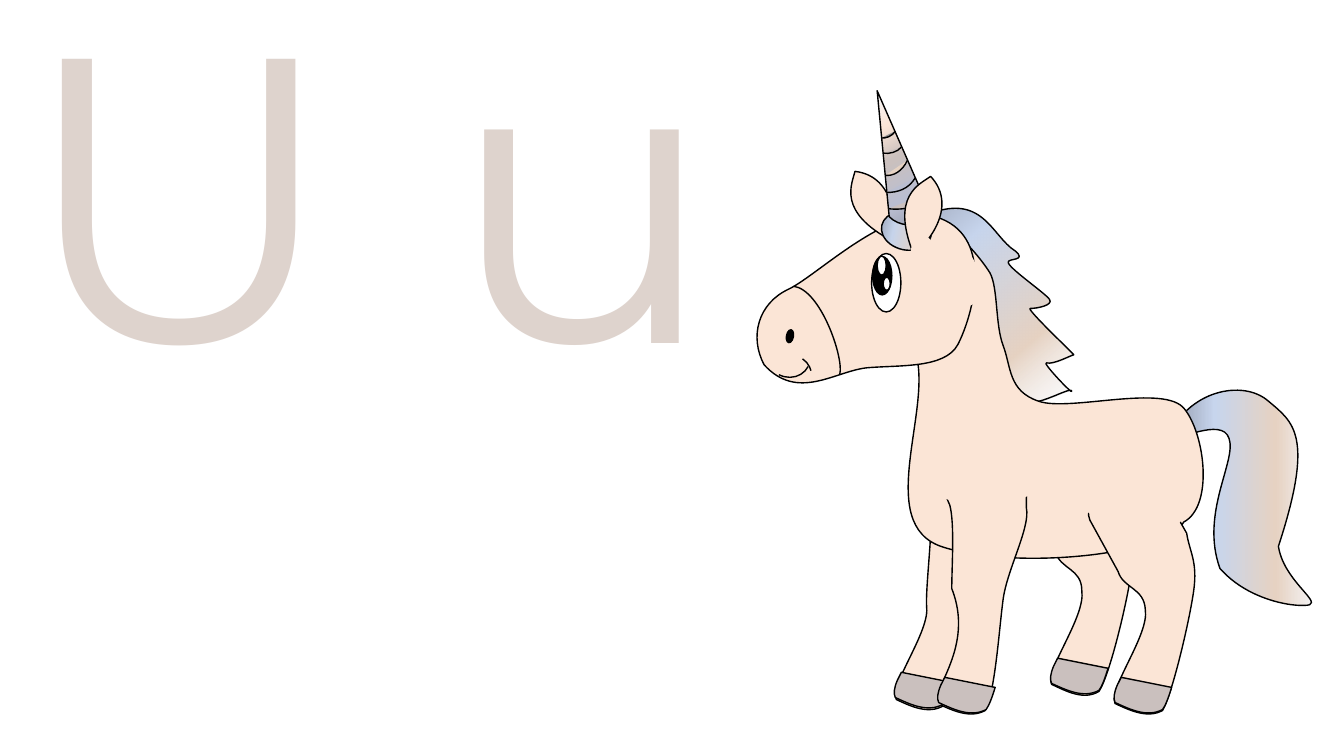
import pptx
import pptx.dml.color
import pptx.enum.shapes
import pptx.enum.text
import pptx.util
from lxml import etree
from pptx.oxml.ns import qn
from pptx.util import Inches

LETTERS = "U u"
SKIN, HOOF, BLACK, WHITE = "FBE5D6", "CAC0BE", "000000", "FFFFFF"

# Gradient stops: position in percent, colour, opacity in percent
HAIR = [(0, "F6F8FC", 100), (29, "E6D2C2", 100), (69, "C7D5ED", 100), (100, "9097A9", 100)]
SHEER_HAIR = [(0, "F6F8FC", 20)] + HAIR[1:]
COAT = [(0, "F6F8FC", 100), (24, SKIN, 100)]
HORN = COAT + [(46, HOOF, 100), (74, "BABED1", 100), (100, "9097A9", 100)]

# Outlines in inches: a pair is a corner, six numbers are a Bezier curve
TAIL = [(12.99, 6), (13.09, 5.96, 12.73, 5.75, 12.68, 5.42), (13.04, 4.32, 12.83, 4.19, 12.58, 3.98),
        (12.33, 3.76, 11.78, 3.87, 11.58, 4.35), (11.66, 4.39, 12.12, 4.13, 12.19, 4.35),
        (12.27, 4.57, 11.9, 5.09, 12.1, 5.64), (12.4, 5.98, 12.89, 6.03, 12.99, 6)]
FAR_HIND_LEG = [(10.86, 4.6), (10.82, 4.54, 10.74, 4.52, 10.68, 4.55), (10.23, 4.8),
                (10.17, 4.84, 10.15, 4.91, 10.18, 4.98), (10.47, 5.48),
                (10.52, 5.65, 10.73, 5.64, 10.73, 5.86), (10.77, 6.12, 10.36, 6.65, 10.43, 6.79),
                (10.58, 6.86, 10.75, 6.95, 10.9, 6.86), (11.01, 6.69, 11.18, 5.97, 11.22, 5.68),
                (11.26, 5.38, 11.17, 5.3, 11.14, 5.1)]
FAR_FRONT_LEG = [(9.61, 4.62), (9.46, 4.57, 9.27, 4.59, 9.16, 4.66), (9.09, 4.8, 9.14, 4.78, 9.22, 4.96),
                 (9.27, 5.13, 9.18, 5.78, 9.19, 6.01), (9.23, 6.26, 8.82, 6.79, 8.89, 6.94),
                 (9.04, 7.01, 9.21, 7.09, 9.36, 7), (9.46, 6.84, 9.63, 6.11, 9.67, 5.82),
                 (9.71, 5.52, 9.74, 5.31, 9.71, 5.11)]
MANE = [(9.17, 2.14), (8.77, 2.44), (9.37, 3.35), (9.69, 3.98), (9.85, 3.97, 9.72, 4.01, 10.08, 3.95),
        (10.19, 4.11, 10.62, 3.82, 10.63, 3.88), (10.65, 3.93, 10.32, 3.58, 10.38, 3.6),
        (10.45, 3.62, 10.63, 3.52, 10.65, 3.52), (10.67, 3.53, 10.16, 3.05, 10.22, 3.06),
        (10.28, 3.06, 10.45, 3.03, 10.41, 2.97), (10.37, 2.91, 9.99, 2.65, 10, 2.6),
        (10, 2.56, 10.19, 2.59, 10.07, 2.49), (9.83, 2.34, 9.75, 1.89, 9.17, 2.14)]
BODY = [(9.95, 3.43), (9.87, 3.22, 9.9, 2.86, 9.82, 2.71), (9.73, 2.56, 9.37, 2.12, 9.24, 2.25),
        (9.12, 2.37, 9.06, 2.94, 9.06, 3.45), (9.3, 3.98, 8.63, 5.21, 9.36, 5.43),
        (10.1, 5.66, 11.58, 5.5, 11.74, 5.18), (12.04, 5.02, 11.95, 4.31, 11.75, 4.06),
        (11.56, 3.8, 10.6, 4.09, 10.3, 3.98), (10, 3.88, 10.03, 3.64, 9.95, 3.43)]
NEAR_HIND_LEG = [(11.48, 4.78), (11.45, 4.72, 11.37, 4.7, 11.31, 4.74), (10.86, 4.99),
                 (10.8, 5.02, 10.78, 5.1, 10.81, 5.16), (11.09, 5.67),
                 (11.14, 5.84, 11.35, 5.83, 11.36, 6.05), (11.4, 6.3, 10.99, 6.83, 11.06, 6.98),
                 (11.21, 7.05, 11.38, 7.13, 11.53, 7.05), (11.63, 6.88, 11.8, 6.15, 11.84, 5.86),
                 (11.88, 5.57, 11.8, 5.48, 11.77, 5.29)]
NEAR_FRONT_LEG = [(10.18, 4.64), (10.03, 4.59, 9.53, 4.55, 9.42, 4.61), (9.36, 4.76, 9.34, 4.84, 9.42, 5.01),
                  (9.47, 5.19, 9.44, 5.62, 9.44, 5.84), (9.67, 6.42, 9.23, 6.84, 9.3, 6.98),
                  (9.45, 7.05, 9.62, 7.13, 9.77, 7.05), (9.87, 6.88, 9.91, 6.23, 9.95, 5.94),
                  (9.99, 5.65, 10.22, 5.23, 10.18, 5.04)]
HOOF_OUTLINE = [(0.06, 0), (0.02, 0.08), (-0.01, 0.15, -0.02, 0.21, 0, 0.25),
                (0.15, 0.32, 0.32, 0.4, 0.47, 0.32), (0.5, 0.28, 0.53, 0.2, 0.56, 0.1)]
HOOF_PLACES = [(11.06, 6.72), (10.43, 6.53), (8.88, 6.67), (9.31, 6.72)]
HEAD = [(9.38, 2.19), (8.9, 1.94, 8.12, 2.73, 7.82, 2.87), (7.52, 3.01, 7.43, 3.34, 7.58, 3.62),
        (7.91, 3.98, 8.27, 3.69, 8.59, 3.65), (8.91, 3.62, 9.37, 3.66, 9.5, 3.42),
        (9.63, 3.17, 9.86, 2.43, 9.38, 2.19)]
FAR_EAR = [(8.85, 2.39), (8.3, 2.1, 8.45, 1.83, 8.48, 1.7), (8.9, 1.75, 8.89, 2.27, 8.85, 2.39)]
NEAR_EAR = [(9.06, 2.52), (8.83, 1.94, 9.12, 1.83, 9.23, 1.75), (9.52, 2.06, 9.17, 2.45, 9.06, 2.52)]
MUZZLE = [(7.87, 2.84), (8.14, 2.87, 8.37, 3.55, 8.33, 3.71)]
HORN_OUTLINE = [(9.27, 2.2), (8.7, 0.9), (8.82, 2.15), (8.92, 2.25, 9.07, 2.25, 9.27, 2.2)]
HORN_RINGS = [
    ([(8.88, 1.3), (8.84, 1.36, 8.79, 1.37, 8.74, 1.37)], "8C8C8C"),
    ([(8.94, 1.46), (8.9, 1.51, 8.82, 1.53, 8.76, 1.52)], HOOF),
    ([(9, 1.59), (8.95, 1.7, 8.86, 1.75, 8.78, 1.74)], "E6D2C2"),
    ([(9.08, 1.76), (9.01, 1.88, 8.9, 1.91, 8.79, 1.91)], "BABED1"),
    ([(9.26, 1.9), (9.17, 2.05, 8.96, 2.09, 8.81, 2.07)], HOOF),
]

# Ellipses: left, top, width, height, rotation, fill, outlined
FRINGE = (8.74, 2.1, 0.5, 0.38, 12.7, (SHEER_HAIR, 180), True)
JOINTS_AND_EYE = [(10.64, 4.63, 1.14, 0.63, 14.6, SKIN, False),
                  (9.19, 4.45, 1.14, 0.57, 0, SKIN, False),
                  (8.5, 2.66, 0.58, 0.29, 270, WHITE, True)]
NOSTRIL_PUPIL_JAW = [(7.77, 3.3, 0.13, 0.07, 280.7, BLACK, True),
                     (8.56, 2.64, 0.38, 0.19, 270, BLACK, True),
                     (9.31, 2.63, 0.54, 0.27, 261.9, SKIN, False)]
EYE_GLINTS = [(8.65, 2.59, 0.19, 0.09, 270, WHITE, True),
              (8.73, 2.78, 0.13, 0.07, 270, WHITE, True)]
EAR_BASE = (8.9, 2.46, 0.54, 0.27, 261.9, SKIN, False)

# Arcs: left, top, width, height, rotation, start and end angle in degrees
SMILE = (7.6, 3.33, 0.44, 0.41, 207.4, 180, 270)
CHEEK = (7.62, 3.54, 0.44, 0.41, 123, 180, 218.4)


def color(hex_string):
    return pptx.dml.color.RGBColor.from_string(hex_string)


def paint(shape, fill, outlined=True):
    """Fill is None, a hex string, or a pair of gradient stops and clockwise angle."""
    shape.shadow.inherit = False
    if fill is None:
        shape.fill.background()
    elif isinstance(fill, str):
        shape.fill.solid()
        shape.fill.fore_color.rgb = color(fill)
    else:
        stops, angle = fill
        shape.fill.gradient()
        shape.fill.gradient_angle = (360 - angle) % 360
        stop_list = next(shape._element.iter(qn("a:gsLst")))
        for stop in list(stop_list):
            stop_list.remove(stop)
        for position, hex_string, opacity in stops:
            stop = etree.SubElement(stop_list, qn("a:gs"), pos=str(position * 1000))
            rgb = etree.SubElement(stop, qn("a:srgbClr"), val=hex_string)
            if opacity < 100:
                etree.SubElement(rgb, qn("a:alpha"), val=str(opacity * 1000))
    if outlined:
        shape.line.color.rgb = color(BLACK)
        shape.line.width = pptx.util.Pt(1)
    else:
        shape.line.fill.background()


def bend(shape, outline):
    """Join the three straight segments drawn for each curve into one Bezier segment."""
    segments = iter(list(shape._element.iter(qn("a:lnTo"))))
    for part in outline[1:]:
        first = next(segments)
        if len(part) == 6:
            curve = etree.Element(qn("a:cubicBezTo"))
            first.addprevious(curve)
            for segment in (first, next(segments), next(segments)):
                curve.append(segment[0])
                segment.getparent().remove(segment)


def add_outline(shapes, outline, fill, closed=True, offset=(0, 0)):
    points = [(Inches(part[i] + offset[0]), Inches(part[i + 1] + offset[1]))
              for part in outline for i in range(0, len(part), 2)]
    builder = shapes.build_freeform(*points[0])
    builder.add_line_segments(points[1:], close=closed)
    shape = builder.convert_to_shape()
    bend(shape, outline)
    paint(shape, fill)


def add_preset(shapes, kind, box, rotation):
    shape = shapes.add_shape(kind, *map(Inches, box))
    shape.rotation = rotation
    return shape


def add_ellipse(shapes, ellipse):
    *box, rotation, fill, outlined = ellipse
    paint(add_preset(shapes, pptx.enum.shapes.MSO_SHAPE.OVAL, box, rotation), fill, outlined)


def add_arc(shapes, arc):
    *box, rotation, start, end = arc
    shape = add_preset(shapes, pptx.enum.shapes.MSO_SHAPE.ARC, box, rotation)
    shape.adjustments[0], shape.adjustments[1] = start * 0.6, end * 0.6
    paint(shape, None)


def add_letters(slide):
    title = slide.shapes.title
    title.left, title.top, title.width, title.height = map(Inches, (0.08, -0.67, 7.93, 4.98))
    frame = title.text_frame
    frame.text = LETTERS
    frame.word_wrap = True
    frame.auto_size = pptx.enum.text.MSO_AUTO_SIZE.NONE
    frame.vertical_anchor = pptx.enum.text.MSO_ANCHOR.TOP
    paragraph = frame.paragraphs[0]
    paragraph.alignment = pptx.enum.text.PP_ALIGN.LEFT
    font = paragraph.runs[0].font
    font.name, font.size = "Montserrat", pptx.util.Pt(290)
    font.color.rgb = color("DED3CD")


def add_unicorn(slide):
    shapes = slide.shapes.add_group_shape().shapes
    for outline, fill in [(TAIL, (HAIR, 180)), (FAR_HIND_LEG, SKIN), (FAR_FRONT_LEG, SKIN),
                          (MANE, (SHEER_HAIR, 230)), (BODY, (COAT, 135)),
                          (NEAR_HIND_LEG, SKIN), (NEAR_FRONT_LEG, SKIN)]:
        add_outline(shapes, outline, fill)
    for place in HOOF_PLACES:
        add_outline(shapes, HOOF_OUTLINE, HOOF, offset=place)
    add_outline(shapes, HEAD, SKIN)
    add_outline(shapes, FAR_EAR, SKIN)
    for ellipse in [FRINGE] + JOINTS_AND_EYE:
        add_ellipse(shapes, ellipse)
    add_arc(shapes, SMILE)
    for ellipse in NOSTRIL_PUPIL_JAW:
        add_ellipse(shapes, ellipse)
    add_arc(shapes, CHEEK)
    for ellipse in EYE_GLINTS:
        add_ellipse(shapes, ellipse)
    add_outline(shapes, MUZZLE, None, closed=False)
    add_outline(shapes, HORN_OUTLINE, (HORN, 60))
    for ring, fill in HORN_RINGS:
        add_outline(shapes, ring, fill, closed=False)
    add_outline(shapes, NEAR_EAR, SKIN)
    add_ellipse(shapes, EAR_BASE)


presentation = pptx.Presentation()
presentation.slide_width, presentation.slide_height = Inches(13.33), Inches(7.5)
slide = presentation.slides.add_slide(presentation.slide_layouts[5])
add_letters(slide)
add_unicorn(slide)
presentation.save("out.pptx")
